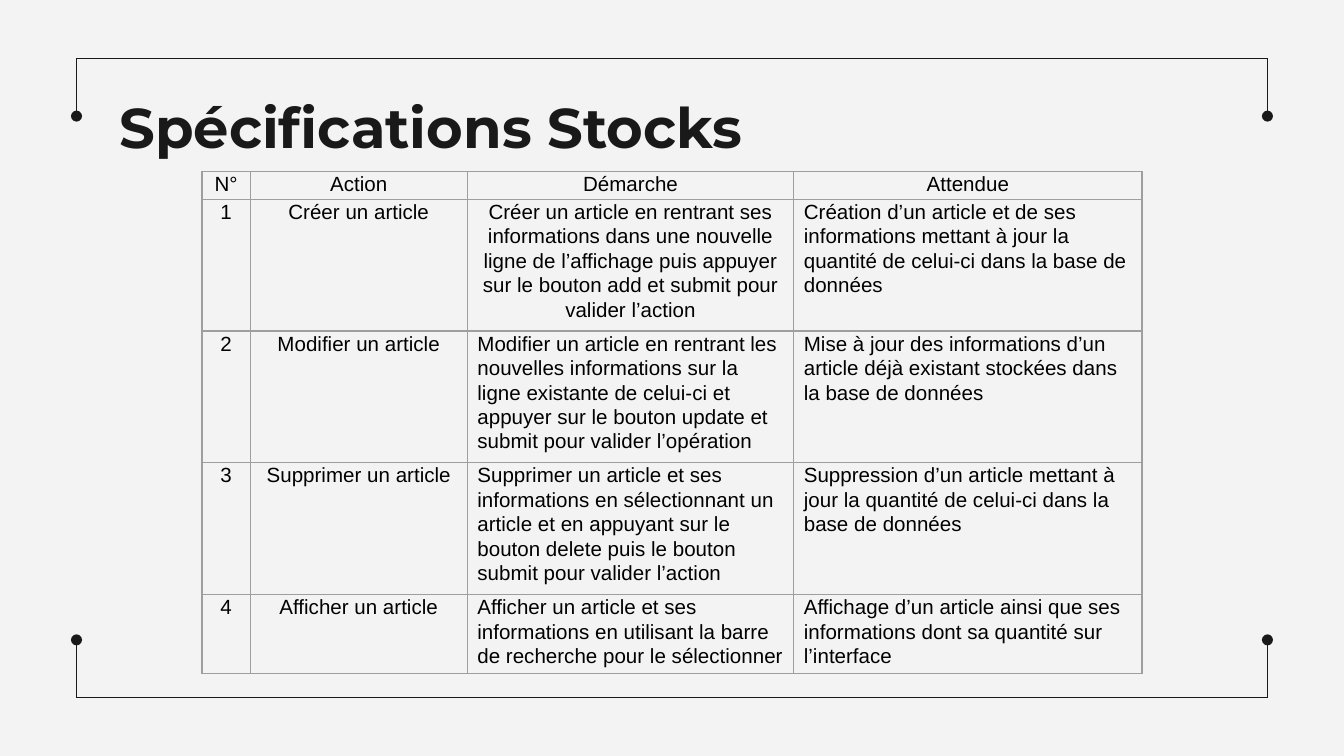
from lxml import etree
from pptx import Presentation
from pptx.dml.color import RGBColor
from pptx.enum.shapes import MSO_CONNECTOR as CONN
from pptx.enum.text import MSO_ANCHOR as ANCHOR, PP_ALIGN as ALIGN
from pptx.oxml.ns import qn
from pptx.util import Pt

INK, GRID, PAPER, BLACK = "191919", "9E9E9E", "F3F3F3", "000000"
WIDTH, HEIGHT = 720, 405
FRAME_X, FRAME_Y, ARM = 41, 31.2, 31

COLUMNS = [25.9, 116.3, 174.9, 186.6]
ROWS = [14.8, 65.4, 65.4, 65.4, 39.4]
HEADER = ["N°", "Action", "Démarche", "Attendue"]
ACTIONS = [
    ("Créer un article",
     "Créer un article en rentrant ses informations dans une nouvelle ligne de "
     "l’affichage puis appuyer sur le bouton add et submit pour valider l’action",
     "Création d’un article et de ses informations mettant à jour la quantité "
     "de celui-ci dans la base de données"),
    ("Modifier un article",
     "Modifier un article en rentrant les nouvelles informations sur la ligne "
     "existante de celui-ci et appuyer sur le bouton update et submit pour "
     "valider l’opération",
     "Mise à jour des informations d’un article déjà existant stockées dans la "
     "base de données"),
    ("Supprimer un article",
     "Supprimer un article et ses informations en sélectionnant un article et en "
     "appuyant sur le bouton delete puis le bouton submit pour valider l’action",
     "Suppression d’un article mettant à jour la quantité de celui-ci dans la "
     "base de données"),
    ("Afficher un article",
     "Afficher un article et ses informations en utilisant la barre de recherche "
     "pour le sélectionner",
     "Affichage d’un article ainsi que ses informations dont sa quantité sur "
     "l’interface"),
]


def rgb(color):
    return RGBColor.from_string(color)


def style_run(r, font, size, color, bold=False):
    r.font.name, r.font.size, r.font.bold = font, Pt(size), bold
    r.font.color.rgb = rgb(color)


def add_line(s, x1, y1, x2, y2, dot=False):
    line = s.shapes.add_connector(CONN.STRAIGHT, Pt(x1), Pt(y1), Pt(x2), Pt(y2))
    line.line.color.rgb = rgb(INK)
    line.line.width = Pt(0.75)
    if dot:
        ln = line.line._get_or_add_ln()
        etree.SubElement(ln, qn("a:tailEnd"), type="oval", w="med", len="med")
    etree.SubElement(line._element.spPr, qn("a:effectLst"))


def add_frame(s):
    left, right = FRAME_X, WIDTH - FRAME_X
    for y, arm in ((FRAME_Y, ARM), (HEIGHT - FRAME_Y, -ARM)):
        add_line(s, left, y, right, y)
        for x in (left, right):
            add_line(s, x, y, x, y + arm, dot=True)


def add_title(s, text):
    sp = s.shapes.add_textbox(Pt(57), Pt(42.5), Pt(607), Pt(45))
    tf = sp.text_frame
    tf.word_wrap = True
    tf.vertical_anchor = ANCHOR.TOP
    tf.margin_left = tf.margin_right = tf.margin_top = tf.margin_bottom = Pt(7.2)
    tf.text = text
    style_run(tf.paragraphs[0].runs[0], "Montserrat", 30, INK, bold=True)


def add_borders(cell):
    tc_pr = cell._tc.get_or_add_tcPr()
    for i, side in enumerate(("lnL", "lnR", "lnT", "lnB")):
        ln = etree.Element(qn(f"a:{side}"), w=str(Pt(0.75)))
        fill = etree.SubElement(ln, qn("a:solidFill"))
        etree.SubElement(fill, qn("a:srgbClr"), val=GRID)
        tc_pr.insert(i, ln)


def fill_cell(cell, text, align):
    cell.fill.background()
    cell.margin_left = cell.margin_right = Pt(5.4)
    cell.margin_top = cell.margin_bottom = 0
    cell.text_frame.text = text
    p = cell.text_frame.paragraphs[0]
    p.alignment, p.line_spacing, p.space_after = align, 1.07, Pt(8)
    style_run(p.runs[0], "Arial", 11, BLACK)
    add_borders(cell)


def add_action_table(s):
    frame = s.shapes.add_table(len(ROWS), len(COLUMNS), Pt(108.2), Pt(91.9),
                               Pt(sum(COLUMNS)), Pt(sum(ROWS)))
    table = frame.table
    table.first_row = table.horz_banding = False
    for column, width in zip(table.columns, COLUMNS):
        column.width = Pt(width)
    for row, height in zip(table.rows, ROWS):
        row.height = Pt(height)

    content = [HEADER] + [(str(n), *a) for n, a in enumerate(ACTIONS, 1)]
    for i, texts in enumerate(content):
        for j, text in enumerate(texts):
            # Short columns, the header and the first procedure are centred
            centred = j < 2 or i == 0 or (i, j) == (1, 2)
            fill_cell(table.cell(i, j), text, ALIGN.CENTER if centred else ALIGN.LEFT)


def main():
    prs = Presentation()
    prs.slide_width, prs.slide_height = Pt(WIDTH), Pt(HEIGHT)
    s = prs.slides.add_slide(prs.slide_layouts[6])

    # Background and corner frame
    s.background.fill.solid()
    s.background.fill.fore_color.rgb = rgb(PAPER)
    add_frame(s)

    # Title and table
    add_title(s, "Spécifications Stocks")
    add_action_table(s)
    prs.save("out.pptx")


if __name__ == "__main__":
    main()
